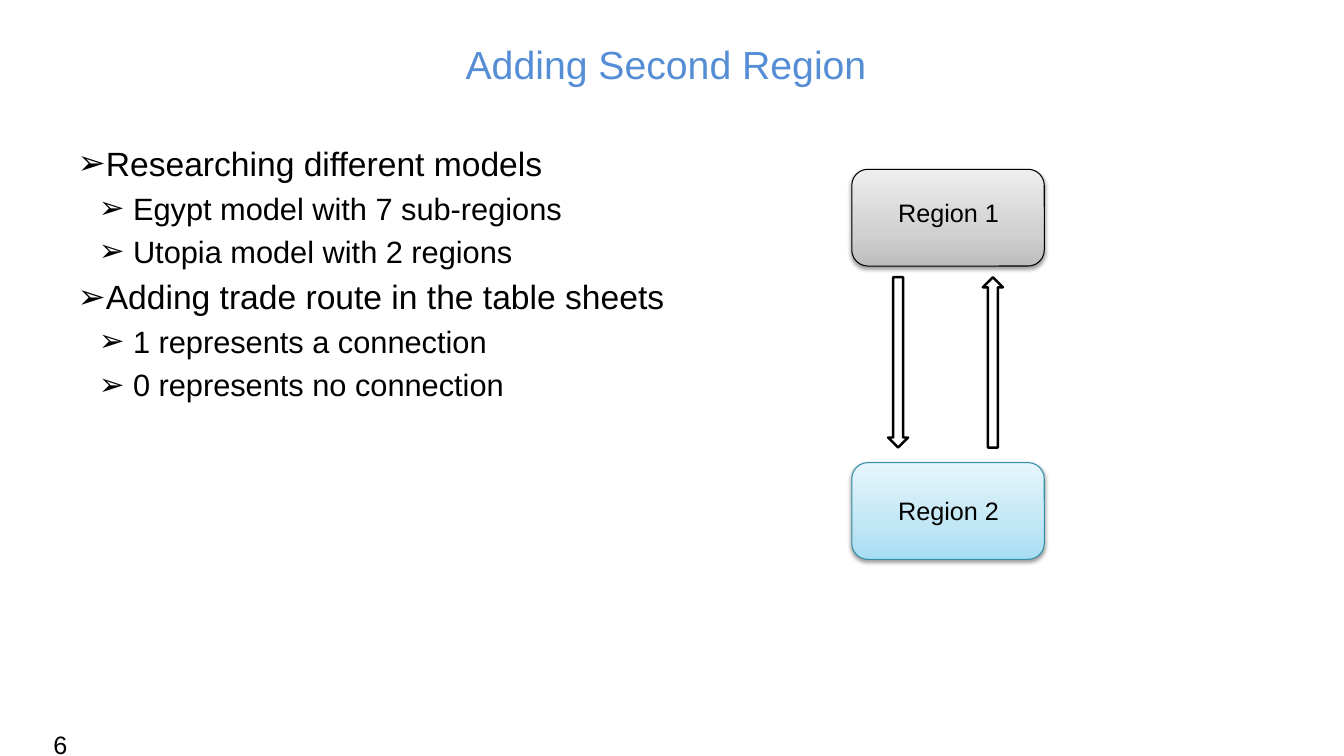
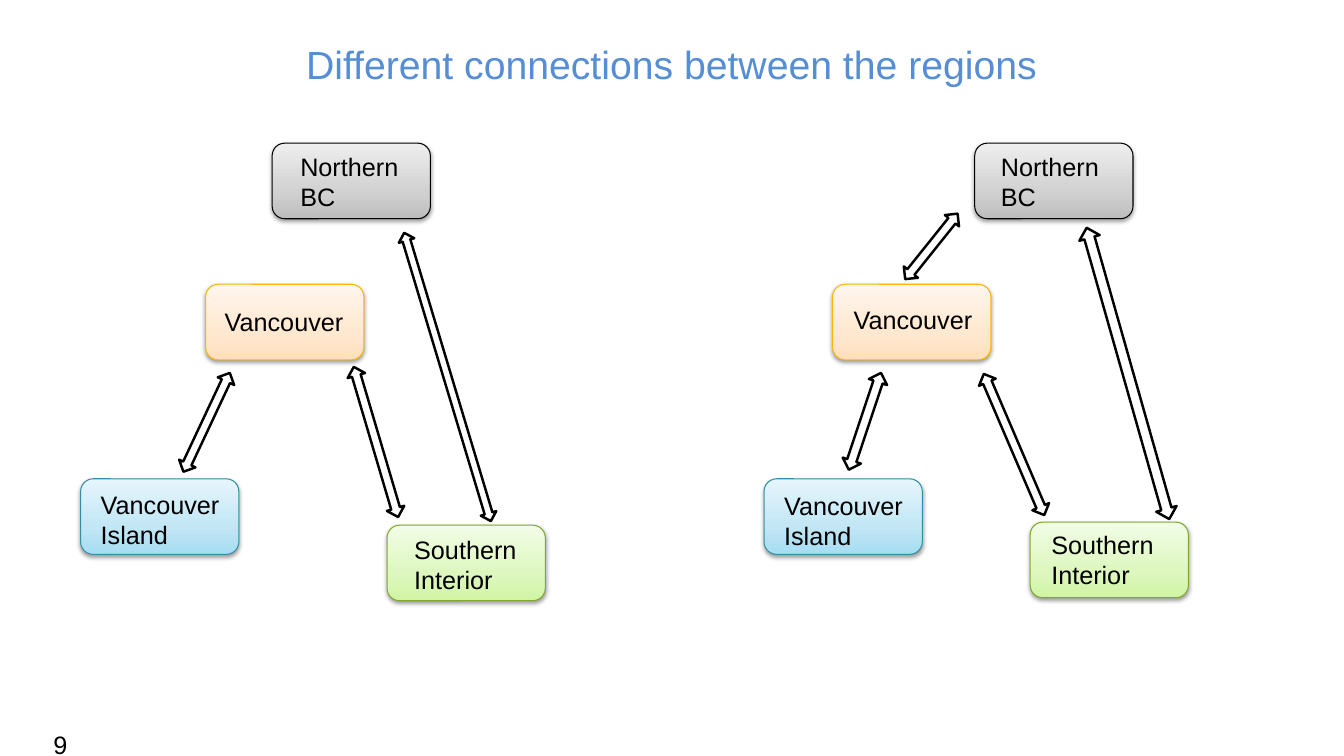
import math
from pptx import Presentation
from pptx import util as u
from pptx.dml.color import RGBColor
from pptx.enum import shapes, text
from pptx.oxml.ns import qn
from lxml import etree

COLORS = {"title": "558ED5", "ink": "000000"}
PALETTES = {
    "grey": (("BDBDBD", "D1D1D1", "EEEEEE"), "000000"),
    "blue": (("A5DDF3", "C1E6F5", "E6F6FC"), "348FA6"),
    "orange": (("FFDFBC", "FFE8D0", "FFF6ED"), "FEB604"),
    "green": (("D0F5A3", "DDF7BF", "F2FDE6"), "82A92F"),
}
STOPS = (0, 35000, 100000)
FONT = "Arial"
COLS, ROWS = 133.33, 75
CELL = u.Inches(0.1)
CORNER_INSET = 0.049
TITLE_BOX = (6.7, 0.1, 119.8, 12.5)
BODY_BOX = (6.7, 13.7, 119.8, 50.3)
NUMBER_BOX = (4.3, 71.9, 8.8, 4)
LEVELS = ((24, 2.7, -2.7), (22, 5.5, -3.4))
SHAPE = shapes.MSO_SHAPE

BULLETS = [
    (0, "Researching different models"),
    (1, "Egypt model with 7 sub-regions"),
    (1, "Utopia model with 2 regions"),
    (0, "Adding trade route in the table sheets"),
    (1, "1 represents a connection"),
    (1, "0 represents no connection"),
]

REGION_PAIR = {
    "box": (84.5, 16.8),
    "size": (19.1, 9.6),
    "nodes": [
        ("Region 1", "grey", (0, 0), (4.6, 2.8)),
        ("Region 2", "blue", (0, 29.1), (4.6, 3.2)),
    ],
    "arrows": [
        (SHAPE.UP_ARROW, (14, 10.7), (14, 27.6), 2),
        (SHAPE.DOWN_ARROW, (4.6, 10.7), (4.6, 27.6), 2),
    ],
}
BOTH = SHAPE.UP_DOWN_ARROW
LEFT_NETWORK = {
    "box": (8, 14.2),
    "size": (15.7, 7.5),
    "nodes": [
        ("Northern BC", "grey", (19, 0), (2.8, 0.8)),
        ("Vancouver Island", "blue", (0, 33.3), (2, 1)),
        ("Vancouver", "orange", (12.4, 14), (1.9, 2.2)),
        ("Southern Interior", "green", (30.4, 37.9), (2.7, 0.9)),
    ],
    "arrows": [
        (BOTH, (14.8, 22.8), (10.2, 32.6), 1.8),
        (BOTH, (27.1, 22.2), (31.5, 37.1), 1.8),
        (BOTH, (32.1, 8.9), (40.7, 37.5), 1.6),
    ],
}
RIGHT_NETWORK = {
    "box": (75.8, 14.2),
    "size": (15.7, 7.5),
    "nodes": [
        ("Northern BC", "grey", (20.9, 0), (2.6, 0.8)),
        ("Vancouver Island", "blue", (0, 33.3), (2, 1.1)),
        ("Vancouver", "orange", (6.8, 14), (2.1, 2)),
        ("Southern Interior", "green", (26.4, 37.6), (2.1, 0.7)),
    ],
    "arrows": [
        (BOTH, (19.2, 7), (14, 13.5), 1.8),
        (BOTH, (11.6, 22.8), (8.4, 32.4), 1.9),
        (BOTH, (21.8, 22.9), (27.8, 36.9), 1.8),
        (BOTH, (32, 8.4), (40.2, 37.3), 2.1),
    ],
}


def grid(*cells):
    return [u.Emu(round(c * CELL)) for c in cells]


def place(sp, box):
    sp.left, sp.top, sp.width, sp.height = grid(*box)


def add_run(p, content, size, color="ink"):
    r = p.add_run()
    r.text = content
    r.font.name = FONT
    r.font.size = u.Pt(size)
    r.font.color.rgb = RGBColor.from_string(COLORS[color])


def child(parent, tag, **attrs):
    el = etree.SubElement(parent, qn(tag))
    for name, value in attrs.items():
        el.set(name, str(value))
    return el


def add_gradient(sp, colors):
    sp.fill.gradient()
    sp.fill.gradient_angle = 90
    stops = sp.element.spPr.find(qn("a:gradFill")).find(qn("a:gsLst"))
    for old in list(stops):
        stops.remove(old)
    for pos, color in zip(STOPS, colors):
        child(child(stops, "a:gs", pos=pos), "a:srgbClr", val=color)


def add_shadow(sp):
    sp.shadow.inherit = False
    effects = sp.element.spPr.find(qn("a:effectLst"))
    shadow = child(effects, "a:outerShdw", blurRad=u.Pt(3.1), dist=u.Pt(1.6),
                   dir=5400000, rotWithShape=0)
    child(child(shadow, "a:srgbClr", val=COLORS["ink"]), "a:alpha", val=38000)


def add_node(s, box, label, palette, offset):
    sp = s.shapes.add_shape(SHAPE.FLOWCHART_ALTERNATE_PROCESS, *grid(*box))
    colors, outline = PALETTES[palette]
    add_gradient(sp, colors)
    sp.line.color.rgb = RGBColor.from_string(outline)
    sp.line.width = u.Pt(0.75)
    add_shadow(sp)
    tf = sp.text_frame
    tf.word_wrap = True
    tf.vertical_anchor = text.MSO_ANCHOR.TOP
    inset = CORNER_INSET * box[3]
    tf.margin_left, tf.margin_top = grid(*(v - inset for v in offset))
    tf.margin_right = tf.margin_bottom = 0
    p = tf.paragraphs[0]
    p.alignment = text.PP_ALIGN.LEFT
    add_run(p, label, 18)


def add_arrow(s, kind, start, end, width):
    (x1, y1), (x2, y2) = start, end
    length = math.hypot(x2 - x1, y2 - y1)
    left = (x1 + x2 - width) / 2
    top = (y1 + y2 - length) / 2
    sp = s.shapes.add_shape(kind, *grid(left, top, width, length))
    sp.rotation = math.degrees(math.atan2(x1 - x2, y2 - y1))
    sp.fill.background()
    sp.line.color.rgb = RGBColor.from_string(COLORS["ink"])
    sp.line.width = u.Pt(1.75)
    sp.shadow.inherit = False


def add_diagram(s, box, size, nodes, arrows):
    def shift(point):
        return box[0] + point[0], box[1] + point[1]

    for label, palette, corner, offset in nodes:
        add_node(s, shift(corner) + size, label, palette, offset)
    for kind, start, end, width in arrows:
        add_arrow(s, kind, shift(start), shift(end), width)


def add_bullets(body, items):
    tf = body.text_frame
    for i, (level, content) in enumerate(items):
        p = tf.add_paragraph() if i else tf.paragraphs[0]
        size, margin, indent = LEVELS[level]
        p.level = level
        pPr = p._p.get_or_add_pPr()
        for name, value in zip(("marL", "indent"), grid(margin, indent)):
            pPr.set(name, str(value))
        child(pPr, "a:buFont", typeface=FONT)
        child(pPr, "a:buChar", char="➢")
        add_run(p, content, size)


def set_master(prs):
    prs.slide_width, prs.slide_height = grid(COLS, ROWS)
    for sp in prs.slide_master.placeholders:
        kind = sp.placeholder_format.type
        if kind == shapes.PP_PLACEHOLDER.TITLE:
            place(sp, TITLE_BOX)
        elif kind == shapes.PP_PLACEHOLDER.BODY:
            place(sp, BODY_BOX)


def add_slide(prs, layout, title, number):
    s = prs.slides.add_slide(prs.slide_layouts.get_by_name(layout))
    tf = s.shapes.title.text_frame
    tf.vertical_anchor = text.MSO_ANCHOR.MIDDLE
    p = tf.paragraphs[0]
    p.alignment = text.PP_ALIGN.CENTER
    add_run(p, title, 28, "title")
    tf = s.shapes.add_textbox(*grid(*NUMBER_BOX)).text_frame
    tf.word_wrap = True
    add_run(tf.paragraphs[0], number, 18)
    return s


def second_region_slide(prs):
    s = add_slide(prs, "Title and Content", "Adding Second Region ", "6")
    add_bullets(s.placeholders[1], BULLETS)
    add_diagram(s, **REGION_PAIR)


def connections_slide(prs):
    s = add_slide(prs, "Title Only", "Different connections between the regions", "9")
    for network in (LEFT_NETWORK, RIGHT_NETWORK):
        add_diagram(s, **network)


def main():
    prs = Presentation()
    set_master(prs)
    second_region_slide(prs)
    connections_slide(prs)
    prs.save("out.pptx")


if __name__ == "__main__":
    main()
